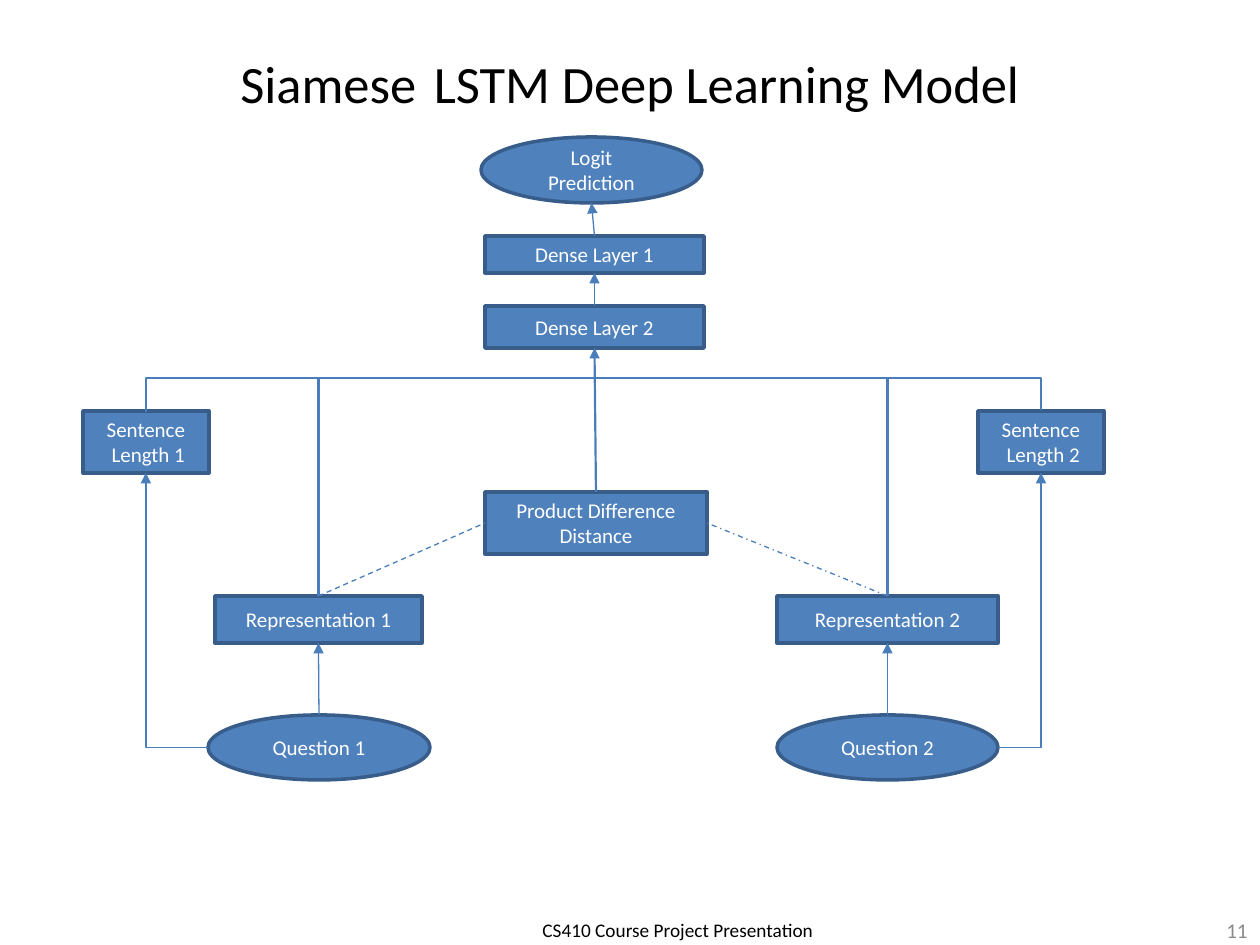
import pptx
import pptx.util
from lxml import etree
from pptx.dml.color import RGBColor
from pptx.enum.dml import MSO_LINE
from pptx.enum.shapes import MSO_CONNECTOR, MSO_SHAPE
from pptx.enum.text import MSO_ANCHOR, PP_ALIGN
from pptx.oxml.ns import qn

FONT = "Calibri"
BLACK = RGBColor(0, 0, 0)
WHITE = RGBColor(255, 255, 255)
GREY = RGBColor(0x89, 0x89, 0x89)
NODE_FILL = RGBColor(0x4F, 0x81, 0xBD)
NODE_EDGE = RGBColor(0x38, 0x5D, 0x8A)
LINK = RGBColor(0x4A, 0x7E, 0xBB)

TITLE = [("Siamese", 30), ("\u00a0", 44), ("LSTM Deep Learning Model", 30)]
BOX, OVAL = MSO_SHAPE.RECTANGLE, MSO_SHAPE.OVAL

# key: (preset, paragraphs, left, top, width, height) in px
NODES = {
    "logit": (OVAL, ["Logit Prediction"], 481, 137, 221, 66),
    "dense1": (BOX, ["Dense Layer 1"], 485, 236, 219, 37),
    "dense2": (BOX, ["Dense Layer 2"], 485, 306, 219, 42),
    "repr1": (BOX, ["Representation 1"], 215, 596, 207, 47),
    "repr2": (BOX, ["Representation 2"], 777, 596, 221, 47),
    "distance": (BOX, ["Product Difference Distance"], 485, 492, 222, 62),
    "question1": (OVAL, ["Question 1"], 208, 715, 222, 65),
    "question2": (OVAL, ["Question 2"], 777, 715, 221, 65),
    "length1": (BOX, ["Sentence", " Length 1"], 83, 411, 126, 62),
    "length2": (BOX, ["Sentence", " Length 2"], 978, 411, 126, 62),
}
# Upward arrows: lower node, upper node, width in pt
ARROWS = [
    ("dense1", "logit", 0.75),
    ("dense2", "dense1", 0.75),
    ("distance", "dense2", 1.25),
    ("question1", "repr1", 0.75),
    ("question2", "repr2", 0.75),
]
# Per branch: representation, question, sentence length, outer side,
# facing side of the distance node, dash of the link to it
BRANCHES = [
    ("repr1", "question1", "length1", "left", "left", MSO_LINE.DASH),
    ("repr2", "question2", "length2", "right", "right", MSO_LINE.DASH_DOT),
]
BUS_Y = 378


def px(value):
    return pptx.util.Emu(round(value * 914400 / 126))


def side(key, where):
    left, top, width, height = NODES[key][2:]
    return {
        "top": (left + width / 2, top),
        "bottom": (left + width / 2, top + height),
        "left": (left, top + height / 2),
        "right": (left + width, top + height / 2),
    }[where]


def style_paragraph(paragraph, size, color, align):
    paragraph.alignment = align
    paragraph.font.name = FONT
    paragraph.font.size = pptx.util.Pt(size)
    paragraph.font.color.rgb = color


def add_label(slide, text, box, size, color, align, wrap, anchor):
    label = slide.shapes.add_textbox(*map(px, box))
    frame = label.text_frame
    frame.word_wrap = wrap
    frame.vertical_anchor = anchor
    frame.text = text
    style_paragraph(frame.paragraphs[0], size, color, align)


def add_node(slide, preset, lines, *box):
    node = slide.shapes.add_shape(preset, *map(px, box))
    node.shadow.inherit = False
    node.fill.solid()
    node.fill.fore_color.rgb = NODE_FILL
    node.line.color.rgb = NODE_EDGE
    node.line.width = pptx.util.Pt(2)
    frame = node.text_frame
    frame.word_wrap = True
    frame.vertical_anchor = MSO_ANCHOR.MIDDLE
    frame.text = "\n".join(lines)
    for paragraph in frame.paragraphs:
        style_paragraph(paragraph, 12, WHITE, PP_ALIGN.CENTER)


def add_link(slide, start, end, width=0.75, arrow=False, dash=None, preset=None):
    link = slide.shapes.add_connector(MSO_CONNECTOR.STRAIGHT, *map(px, (*start, *end)))
    link.line.color.rgb = LINK
    link.line.width = pptx.util.Pt(width)
    if dash:
        link.line.dash_style = dash
    properties = link._element.spPr
    if arrow:
        etree.SubElement(properties.find(qn("a:ln")), qn("a:tailEnd"), type="triangle")
    etree.SubElement(properties, qn("a:effectLst"))
    if preset:
        properties.find(qn("a:prstGeom")).set("prst", preset)
    return link


def add_bus(slide, start, end, bus_y):
    """Bracket above two points: an elbow connector turned by 90 degrees."""
    middle_x, y = (start[0] + end[0]) / 2, start[1]
    half_span, half_depth = (end[0] - start[0]) / 2, 1
    bus = add_link(slide, (middle_x + half_depth, y + half_span),
                   (middle_x - half_depth, y - half_span), 1.5, preset="bentConnector3")
    properties = bus._element.spPr
    properties.find(qn("a:xfrm")).set("rot", "5400000")
    geometry = properties.find(qn("a:prstGeom"))
    adjustments = geometry.find(qn("a:avLst"))
    if adjustments is None:
        adjustments = etree.SubElement(geometry, qn("a:avLst"))
    ratio = round((y + half_depth - bus_y) / (2 * half_depth) * 100000)
    etree.SubElement(adjustments, qn("a:gd"), name="adj1", fmla=f"val {ratio}")


def main():
    deck = pptx.Presentation()
    deck.slide_width, deck.slide_height = px(1260), px(945)
    slide = deck.slides.add_slide(deck.slide_layouts[5])

    # Title
    title = slide.shapes.title
    title.left, title.top, title.width, title.height = map(px, (0, 5, 1260, 136))
    title.text_frame.vertical_anchor = MSO_ANCHOR.MIDDLE
    heading = title.text_frame.paragraphs[0]
    style_paragraph(heading, 30, BLACK, PP_ALIGN.CENTER)
    for text, size in TITLE:
        run = heading.add_run()
        run.text = text
        run.font.size = pptx.util.Pt(size)

    # Footer and page number
    add_label(slide, "CS410 Course Project Presentation", (530, 912, 297, 37),
              11, BLACK, PP_ALIGN.LEFT, False, MSO_ANCHOR.TOP)
    add_label(slide, "11", (966, 905, 294, 50),
              12, GREY, PP_ALIGN.RIGHT, True, MSO_ANCHOR.MIDDLE)

    # Network nodes
    for node in NODES.values():
        add_node(slide, *node)

    # Arrows between stacked nodes
    for lower, upper, width in ARROWS:
        add_link(slide, side(lower, "top"), side(upper, "bottom"), width, arrow=True)

    # Links of the two branches
    for representation, question, length, outer, facing, dash in BRANCHES:
        top = side(representation, "top")
        add_link(slide, top, (top[0], BUS_Y), 1.25)
        add_link(slide, top, side("distance", facing), dash=dash)
        add_link(slide, side(question, outer), side(length, "bottom"),
                 arrow=True, preset="bentConnector2")

    # Bus joining both sentence lengths
    add_bus(slide, side("length1", "top"), side("length2", "top"), BUS_Y)

    deck.save("out.pptx")


if __name__ == "__main__":
    main()
